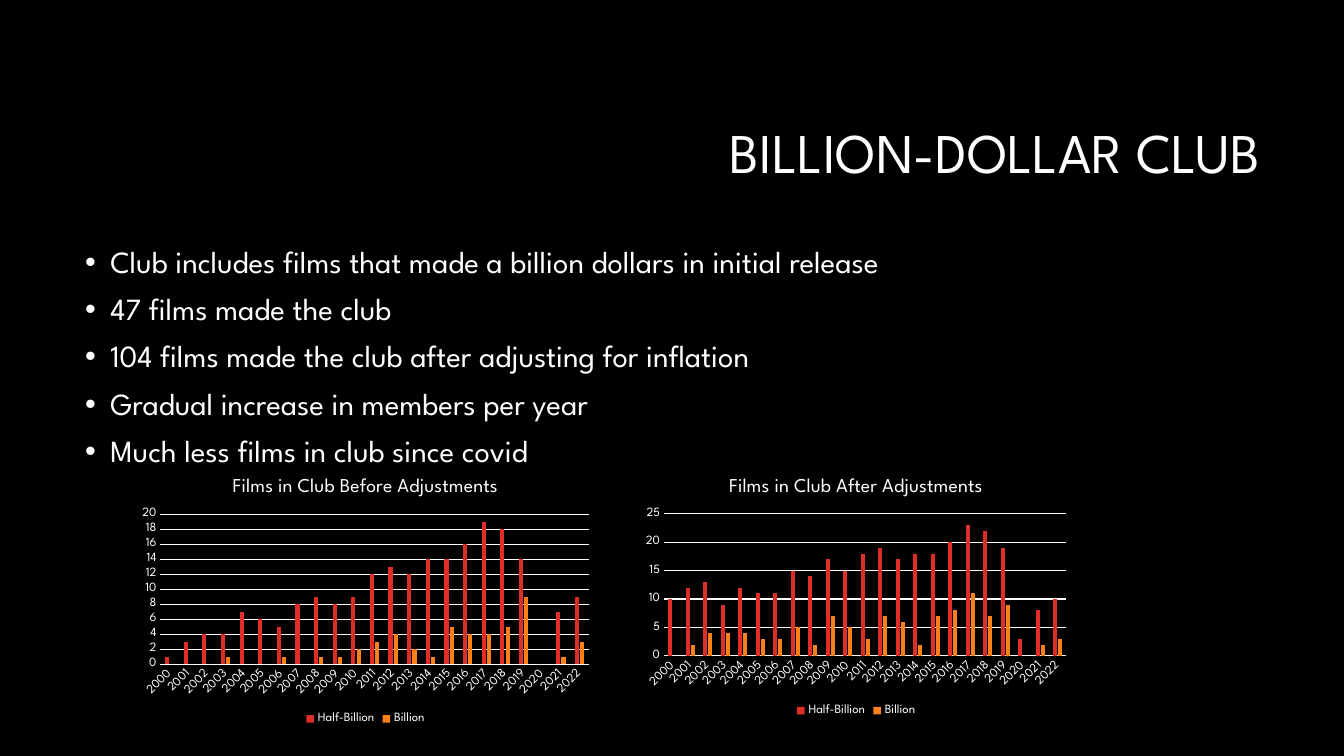
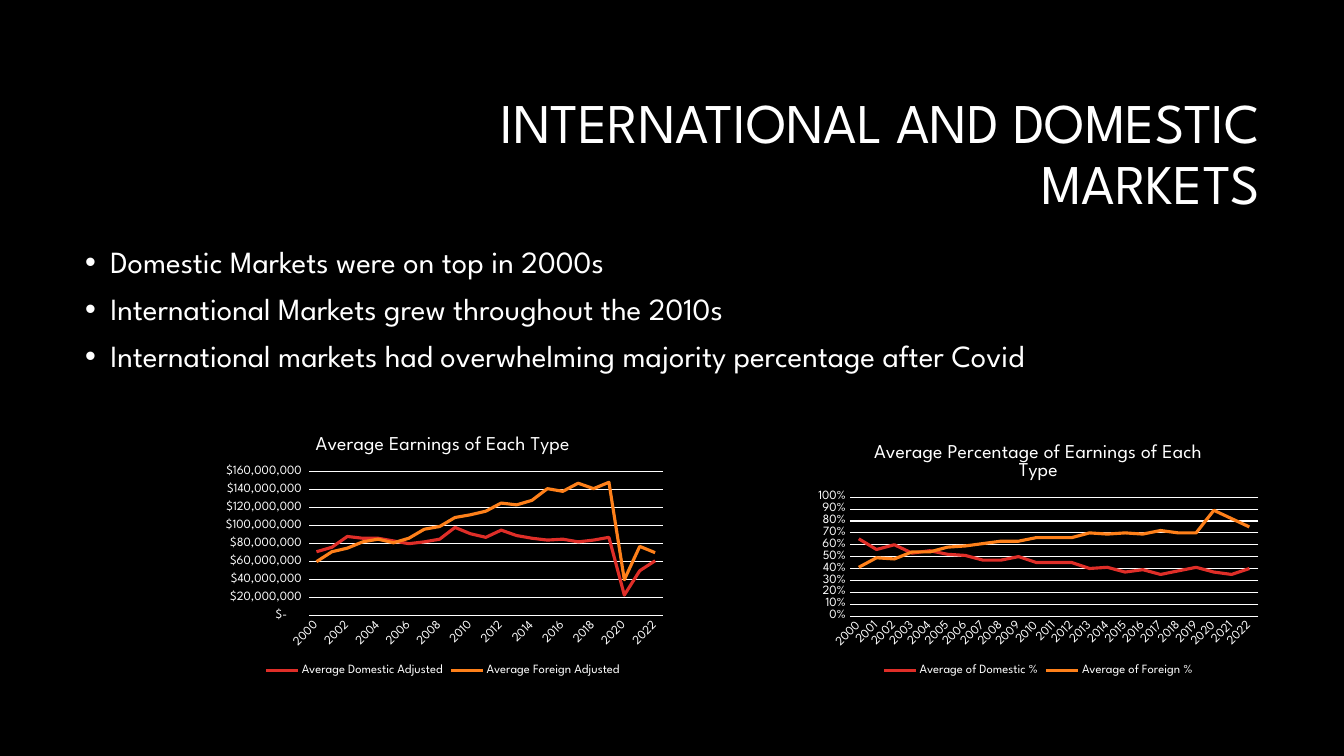
from dataclasses import dataclass

import pptx
import pptx.chart.data
import pptx.dml.color
import pptx.enum.chart
import pptx.enum.text
import pptx.oxml
import pptx.oxml.ns
import pptx.util

XL = pptx.enum.chart.XL_CHART_TYPE


@dataclass(frozen=True)
class Theme:
    """Colours, font, type sizes (points) and frames shared by the slides."""
    back: str = "000000"
    ink: str = "FFFFFF"
    series: tuple = ("DF2E28", "FE801A")
    font: str = "League Spartan"
    title: int = 40
    body: int = 22
    chart_title: int = 14
    chart: int = 10
    label: int = 9
    grid: float = 0.75
    line: float = 2.25
    leading: float = 0.9
    # Frames are left, top, width, height in percent of the slide
    title_frame: tuple = (23.8, 11.2, 70.7, 18.8)
    body_frame: tuple = (5.6, 32, 88.7, 58.7)


THEME = Theme()
WIDTH, HEIGHT = pptx.util.Inches(13.33), pptx.util.Inches(7.5)
YEARS = [str(year) for year in range(2000, 2023)]
DOLLARS = r'_("$"* #,##0_);_("$"* \(#,##0\);_("$"* "-"??_);_(@_)'
MILLION = 1_000_000

CLUB_BEFORE = {
    "Half-Billion": [1, 3, 4, 4, 7, 6, 5, 8, 9, 8, 9, 12, 13, 12, 14, 14,
                     16, 19, 18, 14, 0, 7, 9],
    "Billion": [0, 0, 0, 1, 0, 0, 1, 0, 1, 1, 2, 3, 4, 2, 1, 5,
                4, 4, 5, 9, 0, 1, 3],
}
CLUB_AFTER = {
    "Half-Billion": [10, 12, 13, 9, 12, 11, 11, 15, 14, 17, 15, 18, 19, 17,
                     18, 18, 20, 23, 22, 19, 3, 8, 10],
    "Billion": [0, 2, 4, 4, 4, 3, 3, 5, 2, 7, 5, 3, 7, 6, 2, 7,
                8, 11, 7, 9, 0, 2, 3],
}
EARNINGS_MILLIONS = {
    "Average Domestic Adjusted": [
        71, 76, 88, 86, 86, 83, 80, 82, 85, 98, 91, 87, 95, 89, 86, 84,
        85, 82, 84, 87, 23, 50, 61],
    "Average Foreign Adjusted": [
        60, 71, 75, 82, 85, 81, 86, 96, 99, 109, 112, 116, 125, 123, 128,
        141, 138, 147, 141, 148, 40, 77, 70],
}
SHARE_PERCENT = {
    "Average of Domestic %": [
        65, 56, 60, 53, 55, 52, 51, 47, 47, 50, 45, 45, 45, 40, 41, 37,
        39, 35, 38, 41, 37, 35, 40],
    "Average of Foreign %": [
        41, 49, 48, 54, 54, 58, 59, 61, 63, 63, 66, 66, 66, 70, 69, 70,
        69, 72, 70, 70, 89, 82, 75],
}


def rgb(value):
    """Turn a hex string into a colour."""
    return pptx.dml.color.RGBColor.from_string(value)


def frame(left, top, width, height):
    """Turn percentages of the slide into lengths."""
    return (int(WIDTH * left / 100), int(HEIGHT * top / 100),
            int(WIDTH * width / 100), int(HEIGHT * height / 100))


def style_font(font, size):
    """Apply the shared typeface and ink at a given size."""
    font.name = THEME.font
    font.size = pptx.util.Pt(size)
    font.bold = False
    font.color.rgb = rgb(THEME.ink)


def add_run(p, text, size):
    """Append a styled run to a paragraph."""
    r = p.add_run()
    r.text = text
    style_font(r.font, size)


def style_line(line, color, width):
    """Give a line a solid colour and a width in points."""
    line.color.rgb = rgb(color)
    line.width = pptx.util.Pt(width)


def add_title(s, text):
    """Place and fill the title placeholder."""
    sp = s.shapes.title
    sp.left, sp.top, sp.width, sp.height = frame(*THEME.title_frame)
    tf = sp.text_frame
    tf.word_wrap = True
    tf.auto_size = pptx.enum.text.MSO_AUTO_SIZE.NONE
    tf.vertical_anchor = pptx.enum.text.MSO_ANCHOR.MIDDLE
    p = tf.paragraphs[0]
    p.alignment = pptx.enum.text.PP_ALIGN.RIGHT
    p.line_spacing = THEME.leading
    add_run(p, text, THEME.title)


def add_bullets(s, items):
    """Add the bulleted body text."""
    tf = s.shapes.add_textbox(*frame(*THEME.body_frame)).text_frame
    tf.word_wrap = True
    for i, text in enumerate(items):
        p = tf.add_paragraph() if i else tf.paragraphs[0]
        p.line_spacing = THEME.leading
        p.space_before = pptx.util.Pt(10)
        pPr = p._p.get_or_add_pPr()
        indent = pptx.util.Inches(0.25)
        pPr.set("marL", str(indent))
        pPr.set("indent", str(-indent))
        for tag, name, value in (("a:buFont", "typeface", "Arial"),
                                 ("a:buChar", "char", "\u2022")):
            bullet = pptx.oxml.parse_xml(
                f"<{tag} {pptx.oxml.ns.nsdecls('a')}/>")
            bullet.set(name, value)
            pPr.append(bullet)
        add_run(p, text, THEME.body)


def style_axes(chart, number_format):
    """Format both axes, with gridlines on the value axis only."""
    for axis in (chart.category_axis, chart.value_axis):
        axis.major_tick_mark = pptx.enum.chart.XL_TICK_MARK.NONE
        axis.minor_tick_mark = pptx.enum.chart.XL_TICK_MARK.NONE
        style_font(axis.tick_labels.font, THEME.label)
    category, value = chart.category_axis, chart.value_axis
    style_line(category.format.line, THEME.ink, THEME.grid)
    # This angle stands for automatic label rotation
    category._element.txPr.bodyPr.set("rot", "-60000000")
    value.format.line.fill.background()
    value.has_major_gridlines = True
    style_line(value.major_gridlines.format.line, THEME.ink, THEME.grid)
    value.tick_labels.number_format = number_format
    value.tick_labels.number_format_is_linked = False


def add_year_chart(s, kind, area, title, series, number_format="General",
                   scale=1):
    """Add a titled column or line chart of yearly values."""
    data = pptx.chart.data.CategoryChartData(number_format=number_format)
    data.categories = YEARS
    for name, values in series.items():
        data.add_series(name, [v * scale for v in values])
    chart = s.shapes.add_chart(kind, *frame(*area), data).chart
    style_font(chart.font, THEME.chart)
    chart.has_title = True
    add_run(chart.chart_title.text_frame.paragraphs[0], title,
            THEME.chart_title)
    chart.has_legend = True
    chart.legend.position = pptx.enum.chart.XL_LEGEND_POSITION.BOTTOM
    chart.legend.include_in_layout = False
    style_font(chart.legend.font, THEME.label)
    style_axes(chart, number_format)

    plot = chart.plots[0]
    plot.vary_by_categories = False
    if kind == XL.COLUMN_CLUSTERED:
        plot.gap_width, plot.overlap = 219, -27
    for item, color in zip(plot.series, THEME.series):
        if kind == XL.COLUMN_CLUSTERED:
            item.format.fill.solid()
            item.format.fill.fore_color.rgb = rgb(color)
        else:
            item.smooth = False
            item.marker.style = pptx.enum.chart.XL_MARKER_STYLE.NONE
            style_line(item.format.line, color, THEME.line)


def add_slide(prs, title, bullets):
    """Add a slide with its title and bullets."""
    s = prs.slides.add_slide(prs.slide_layouts.get_by_name("Title Only"))
    add_title(s, title)
    add_bullets(s, bullets)
    return s


def main():
    """Build and save the presentation."""
    prs = pptx.Presentation()
    prs.slide_width, prs.slide_height = WIDTH, HEIGHT
    fill = prs.slide_master.background.fill
    fill.solid()
    fill.fore_color.rgb = rgb(THEME.back)

    s = add_slide(prs, "BILLION-DOLLAR CLUB", [
        "Club includes films that made a billion dollars in initial release",
        "47 films made the club",
        "104 films made the club after adjusting for inflation",
        "Gradual increase in members per year",
        "Much less films in club since covid",
    ])
    add_year_chart(s, XL.COLUMN_CLUSTERED, (47.4, 61.2, 32.6, 34.1),
                   "Films in Club After Adjustments", CLUB_AFTER)
    add_year_chart(s, XL.COLUMN_CLUSTERED, (9.9, 61.2, 34.6, 35.2),
                   "Films in Club Before Adjustments", CLUB_BEFORE)

    s = add_slide(prs, "INTERNATIONAL AND DOMESTIC MARKETS", [
        "Domestic Markets were on top in 2000s",
        "International Markets grew throughout the 2010s",
        "International markets had overwhelming majority percentage "
        "after Covid",
    ])
    add_year_chart(s, XL.LINE, (60.2, 56.7, 34.1, 33.3),
                   "Average Percentage of Earnings of Each Type",
                   {name: [v / 100 for v in values]
                    for name, values in SHARE_PERCENT.items()}, "0%")
    add_year_chart(s, XL.LINE, (15.9, 55.6, 34.1, 34.4),
                   "Average Earnings of Each Type", EARNINGS_MILLIONS,
                   DOLLARS, MILLION)
    prs.save("out.pptx")


main()
